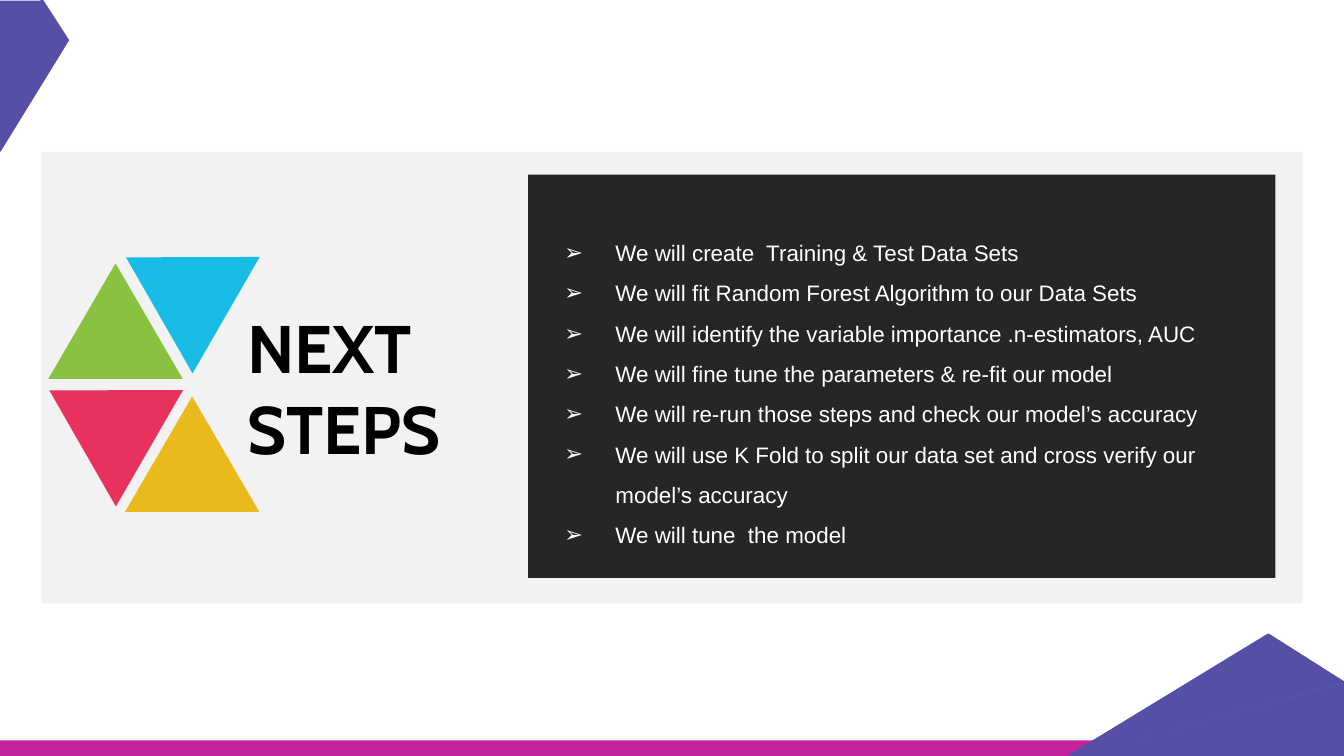
from lxml.etree import SubElement
from pptx import Presentation
from pptx.dml.color import RGBColor
from pptx.enum.shapes import MSO_SHAPE as Shape
from pptx.enum.text import MSO_AUTO_SIZE as AutoSize
from pptx.oxml.ns import qn
from pptx.util import Inches, Pt

COLUMNS, ROWS = 100, 56.25  # square grid cells, a tenth of an inch each
PURPLE, MAGENTA, PALE, DARK = "554FA5", "C3239D", "F2F2F2", "262626"
YELLOW, BLUE, GREEN, RED = "EABA1D", "19BCE5", "88C240", "E6325C"

STEPS = [
    "We will create  Training & Test Data Sets",
    "We will fit Random Forest Algorithm to our Data Sets",
    "We will identify the variable importance .n-estimators, AUC",
    "We will fine tune the parameters & re-fit our model",
    "We will re-run those steps and check our model’s accuracy",
    "We will use K Fold to split our data set and cross verify our model’s accuracy",
    "We will tune  the model",
]


def color(code):
    return RGBColor.from_string(code)


def cells(count):
    return Inches(count / 10)


class SlideBuilder:
    """Holds the text style and the current slide."""
    heading_font, body_font = "Cabin", "Arial"
    heading_size, body_size = 36, 12
    indent = 3.8

    def __init__(self, deck):
        self.page = deck.slides.add_slide(deck.slide_layouts[6])

    def shape(self, kind, area, fill, turn=0, line=None):
        shape = self.page.shapes.add_shape(kind, *map(cells, area))
        shape.shadow.inherit = False
        shape.rotation = turn
        shape.fill.solid()
        shape.fill.fore_color.rgb = color(fill)
        if line:
            shape.line.color.rgb = color(line)
            shape.line.width = Pt(1)
        else:
            shape.line.fill.background()
        return shape

    def triangle(self, area, fill, turn=0, apex=0.5, mirrored=False, line=None):
        shape = self.shape(Shape.ISOSCELES_TRIANGLE, area, fill, turn, line)
        shape.adjustments[0] = apex
        if mirrored:
            shape._element.spPr.find(qn("a:xfrm")).set("flipH", "1")

    def text_frame(self, area):
        frame = self.page.shapes.add_textbox(*map(cells, area)).text_frame
        frame.word_wrap = True
        frame.auto_size = AutoSize.SHAPE_TO_FIT_TEXT
        return frame

    def span(self, para, text, font, size, code, bold=False):
        span = para.add_run()
        span.text = text
        span.font.name, span.font.size, span.font.bold = font, Pt(size), bold
        span.font.color.rgb = color(code)

    def heading(self, area, text):
        para = self.text_frame(area).paragraphs[0]
        self.span(para, text, self.heading_font, self.heading_size, "000000", True)

    def bullets(self, area, items):
        frame = self.text_frame(area)
        frame.margin_left = frame.margin_right = Inches(0.07)
        frame.margin_top = frame.margin_bottom = Inches(0.04)
        for index, item in enumerate(items):
            para = frame.add_paragraph() if index else frame.paragraphs[0]
            para.line_spacing = 1.5
            para.space_before = Pt(0 if index else 12)
            props = para._p.get_or_add_pPr()
            props.set("marL", str(cells(self.indent)))
            props.set("indent", str(-cells(self.indent)))
            SubElement(props, qn("a:buFont"), typeface=self.body_font)
            SubElement(props, qn("a:buChar"), char="➢")
            self.span(para, item, self.body_font, self.body_size, "FFFFFF")


def main():
    deck = Presentation()
    deck.slide_width, deck.slide_height = cells(COLUMNS), cells(ROWS)
    slide = SlideBuilder(deck)

    # Top left corner
    slide.triangle((-4.1, 4.1, 11.2, 3.1), PURPLE, 90, apex=0)
    slide.triangle((-3, 4.6, 11.7, 2.7), PURPLE, 105.4, apex=0.206, line=PURPLE)

    # Bottom bar and bottom right corner
    slide.shape(Shape.RECTANGLE, (0, 55.1, COLUMNS, ROWS - 55.1), MAGENTA)
    slide.triangle((79.2, 50.8, 20.8, 5.7), PURPLE, apex=0, mirrored=True)
    slide.triangle((78.1, 48.8, 21.6, 4.9), PURPLE, 344.6, apex=0.206,
                   mirrored=True, line=PURPLE)

    # Panel
    slide.shape(Shape.RECTANGLE, (3.1, 11.3, 93.8, 33.6), PALE)

    # Emblem: each right-hand triangle is the left-hand one shifted diagonally
    side, height, shift_x, shift_y = 10, 8.6, 5.7, 9.9
    for left, top, turn, way, near, far in (
        (3.6, 19.6, 0, 1, GREEN, YELLOW),
        (2.4, 26.9, 300, -1, RED, BLUE),
    ):
        for step, fill in enumerate((near, far)):
            area = (left + step * shift_x, top + step * way * shift_y, side, height)
            slide.triangle(area, fill, turn)

    # Heading and list of steps
    slide.heading((17.4, 22.3, 22, 13.1), "NEXT STEPS")
    slide.shape(Shape.RECTANGLE, (39.3, 13, 55.6, 30), DARK)
    slide.bullets((41.3, 16.4, 52.7, 24.6), STEPS)

    deck.save("out.pptx")


if __name__ == "__main__":
    main()
